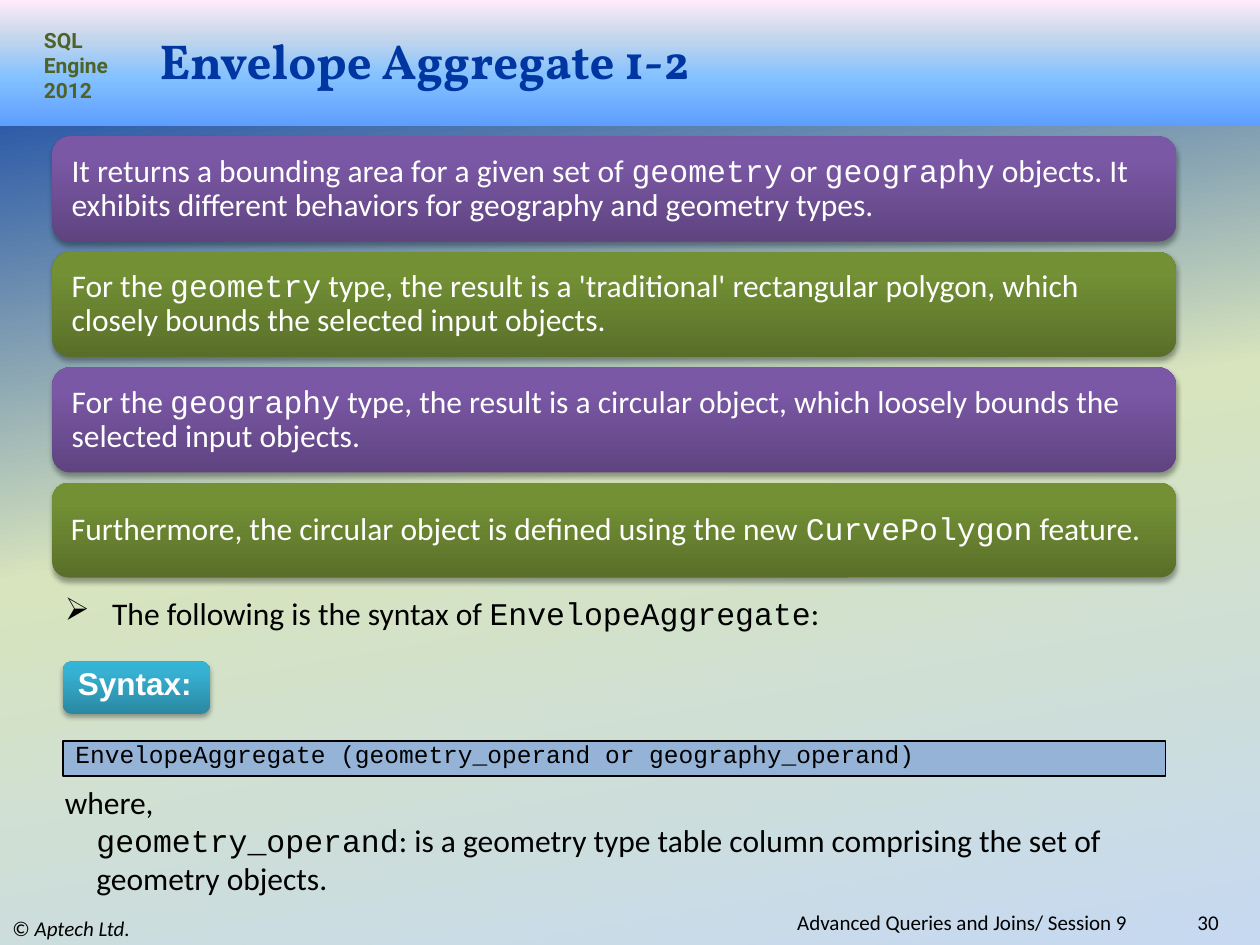
"""Build the Envelope Aggregate slide."""
from lxml import etree
from pptx import Presentation
from pptx.dml.color import RGBColor
from pptx.enum.shapes import MSO_SHAPE
from pptx.enum.text import MSO_ANCHOR, MSO_AUTO_SIZE, PP_ALIGN
from pptx.oxml.ns import qn
from pptx.util import Pt

RECTANGLE = MSO_SHAPE.RECTANGLE
ROUNDED = MSO_SHAPE.ROUNDED_RECTANGLE
TOP, MIDDLE = MSO_ANCHOR.TOP, MSO_ANCHOR.MIDDLE
LEFT, RIGHT = PP_ALIGN.LEFT, PP_ALIGN.RIGHT
NO_FIT = MSO_AUTO_SIZE.NONE

BLACK = RGBColor(0x00, 0x00, 0x00)
WHITE = RGBColor(0xFF, 0xFF, 0xFF)
NAVY = RGBColor(0x00, 0x36, 0xA2)
OLIVE = RGBColor(0x4F, 0x62, 0x28)
CODE_BLUE = RGBColor(0x95, 0xB3, 0xD7)
BACKGROUND = [(0, NAVY), (50, RGBColor(0xD7, 0xE4, 0xBD)), (100, RGBColor(0xC6, 0xD9, 0xF1))]
HEADER = [
    (0, RGBColor(0x5E, 0x9E, 0xFF)),
    (40, RGBColor(0x85, 0xC2, 0xFF)),
    (70, RGBColor(0xC4, 0xD6, 0xEB)),
    (100, RGBColor(0xFF, 0xEB, 0xFA)),
]
PURPLE = [(0, RGBColor(0x5F, 0x44, 0x80)), (80, RGBColor(0x7B, 0x58, 0xA6)), (100, RGBColor(0x7C, 0x57, 0xA8))]
GREEN = [(0, RGBColor(0x59, 0x6F, 0x29)), (80, RGBColor(0x73, 0x90, 0x35)), (100, RGBColor(0x74, 0x93, 0x34))]
TEAL = [(0, RGBColor(0x2A, 0x88, 0xA2)), (80, RGBColor(0x37, 0xB1, 0xD2)), (100, RGBColor(0x34, 0xB4, 0xD6))]

BODY, CODE = "Calibri", "Courier New"

CARDS = [
    ("It returns a bounding area for a given set of `geometry` or `geography` objects. "
     "It exhibits different behaviors for geography and geometry types.", PURPLE, 60),
    ("For the `geometry` type, the result is a 'traditional' rectangular polygon, "
     "which closely bounds the selected input objects.", GREEN, 60),
    ("For the `geography` type, the result is a circular object, "
     "which loosely bounds the selected input objects.", PURPLE, 60),
    ("Furthermore, the circular object is defined using the new `CurvePolygon` feature.", GREEN, 54),
]


class SlideBuilder:
    """Hold the slide and draw its styled elements; backticks in text mark code."""

    def __init__(self, slide):
        self.slide = slide

    def gradient(self, fill, element, stops, angle):
        fill.gradient()
        fill.gradient_angle = 360 - angle
        stop_list = next(element.iter(qn("a:gsLst")))
        for stop in list(stop_list):
            stop_list.remove(stop)
        for position, color in stops:
            stop = etree.SubElement(stop_list, qn("a:gs"), pos=str(position * 1000))
            etree.SubElement(stop, qn("a:srgbClr"), val=str(color))

    def background(self, stops, angle):
        self.gradient(self.slide.background.fill, self.slide.element, stops, angle)

    def title(self, text, left, top, width, height):
        title = self.slide.shapes.title
        title.left, title.top, title.width, title.height = Pt(left), Pt(top), Pt(width), Pt(height)
        self.frame(title, MIDDLE)
        self.fill_paragraph(title.text_frame.paragraphs[0], text, 28, NAVY, "Vollkorn", bold=True)

    def header(self, height):
        header = self.shape(RECTANGLE, 0, 0, 720, height, HEADER)
        self.slide.shapes.title.element.addprevious(header.element)

    def shape(self, kind, left, top, width, height, stops=None):
        shape = self.slide.shapes.add_shape(kind, Pt(left), Pt(top), Pt(width), Pt(height))
        shape.shadow.inherit = False
        shape.line.fill.background()
        if stops:
            self.gradient(shape.fill, shape.element, stops, 270)
        return shape

    def panel(self, text, left, top, width, height, stops, **style):
        shape = self.shape(ROUNDED, left, top, width, height, stops)
        effects = next(shape.element.iter(qn("a:effectLst")))
        shadow = etree.SubElement(effects, qn("a:outerShdw"), blurRad=str(Pt(3.1)),
                                  dist=str(Pt(1.8)), dir="5400000", rotWithShape="0")
        color = etree.SubElement(shadow, qn("a:srgbClr"), val=str(BLACK))
        etree.SubElement(color, qn("a:alpha"), val="35000")
        self.frame(shape, MIDDLE)
        self.fill_paragraph(shape.text_frame.paragraphs[0], text, 18, WHITE, **style)
        return shape

    def code_box(self, text, left, top, width, height):
        shape = self.shape(RECTANGLE, left, top, width, height)
        shape.fill.solid()
        shape.fill.fore_color.rgb = CODE_BLUE
        shape.line.color.rgb = BLACK
        shape.line.width = Pt(0.75)
        self.frame(shape, TOP)
        self.fill_paragraph(shape.text_frame.paragraphs[0], text, 14, BLACK, CODE, spacing=0.7)

    def text(self, text, left, top, width, height, size=18, color=BLACK, anchor=TOP, **style):
        box = self.slide.shapes.add_textbox(Pt(left), Pt(top), Pt(width), Pt(height))
        self.frame(box, anchor)
        self.fill_paragraph(box.text_frame.paragraphs[0], text, size, color, **style)
        return box.text_frame

    def frame(self, shape, anchor):
        shape.text_frame.word_wrap = True
        shape.text_frame.auto_size = NO_FIT
        shape.text_frame.vertical_anchor = anchor

    def fill_paragraph(self, paragraph, text, size, color, name=BODY, bold=False,
                       align=LEFT, spacing=1.0, margin=0, bullet=None):
        properties = paragraph._p.get_or_add_pPr()
        properties.set("marL", str(Pt(margin)))
        if bullet:
            properties.set("indent", str(Pt(-margin)))
            etree.SubElement(properties, qn("a:buChar"), char=bullet)
        paragraph.alignment = align
        paragraph.line_spacing = spacing
        paragraph.font.size = Pt(size)
        paragraph.font.bold = bold
        paragraph.font.color.rgb = color
        paragraph.font.name = name
        for index, part in enumerate(text.split("`")):
            if part:
                run = paragraph.add_run()
                run.text = part
                if index % 2:
                    run.font.name = CODE


def main():
    presentation = Presentation()
    presentation.slide_width, presentation.slide_height = Pt(720), Pt(540)
    builder = SlideBuilder(presentation.slides.add_slide(presentation.slide_layouts[5]))

    builder.background(BACKGROUND, 80)
    builder.title("Envelope Aggregate 1-2", 84, 18, 600, 32.4)
    builder.header(72)
    builder.text("SQL Engine 2012", 18, 12, 54, 51, 12, OLIVE, name="Roboto", bold=True)

    for index, (text, stops, height) in enumerate(CARDS):
        card = builder.panel(text, 30, 78 + 66 * index, 642, height, stops, spacing=0.9)
        card.text_frame.margin_left = card.text_frame.margin_right = Pt(8)

    builder.text("The following is the syntax of `EnvelopeAggregate`:", 30, 336, 660, 29,
                 margin=27, bullet="➢")
    builder.panel("Syntax:", 36, 378, 84, 30, TEAL, name="Arial", bold=True, spacing=0.7)
    builder.code_box("EnvelopeAggregate (geometry_operand or geography_operand)", 36, 423.5, 630, 20)

    explanation = builder.text("where,", 30, 444, 666, 73)
    builder.fill_paragraph(
        explanation.add_paragraph(),
        "`geometry_operand`: is a geometry type table column comprising the set of geometry objects.",
        18, BLACK, margin=18)

    copyright_line = builder.text("© ", 0, 520.8, 240, 19.2, 12, anchor=MIDDLE)
    owner = copyright_line.paragraphs[0].add_run()
    owner.text = "Aptech Ltd."
    owner.font.italic = True
    builder.text("Advanced Queries and Joins/ Session 9 ", 180, 520.5, 474, 13, 12, anchor=MIDDLE, align=RIGHT)
    builder.text("30", 642, 520.5, 61.5, 13, 12, anchor=MIDDLE, align=RIGHT)
    presentation.save("out.pptx")


if __name__ == "__main__":
    main()
